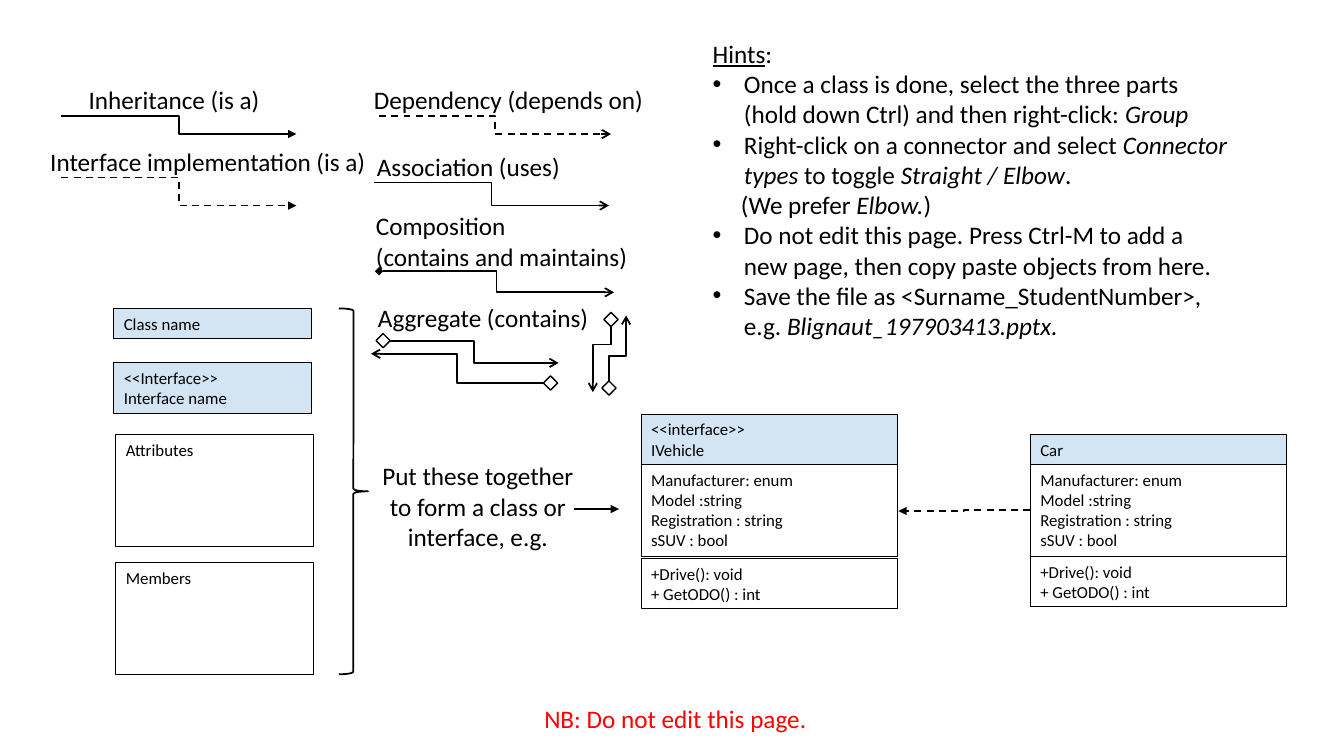
"""Build a slide with a legend of UML connectors, class boxes and an example."""
import pptx
import pptx.util
import pptx.dml.color
import pptx.enum.dml
import pptx.enum.shapes
import pptx.enum.text
import pptx.oxml
import pptx.oxml.ns

Inches = pptx.util.Inches
Pt = pptx.util.Pt
MSO_SHAPE = pptx.enum.shapes.MSO_SHAPE
MSO_CONNECTOR = pptx.enum.shapes.MSO_CONNECTOR
ALIGN = pptx.enum.text.PP_ALIGN
qn = pptx.oxml.ns.qn

COLORS = {"ink": "000000", "header": "BDD7EE", "body": "FFFFFF", "warning": "FF0000"}
FONT = "Calibri"
LABEL_SIZE, BOX_SIZE = 18, 12
FRAME_FORMAT = {"word_wrap": True, "vertical_anchor": pptx.enum.text.MSO_ANCHOR.TOP}
BOX_ALPHA = 66
LINE_WIDTH = 1.25
BOX_LINE, DIAMOND_LINE = 0.75, 1
DIAMOND_SIDE = 0.14

LABELS = [
    ((0.4, 1.4, 3.37, 0.4), ["Interface implementation (is a)"], "ink", ALIGN.LEFT),
    ((0.78, 0.79, 1.92, 0.4), ["Inheritance (is a)"], "ink", ALIGN.LEFT),
    ((3.63, 2.04, 2.72, 0.71), ["Composition", "(contains and maintains)"], "ink", ALIGN.LEFT),
    ((3.61, 0.79, 3.01, 0.4), ["Dependency (depends on)"], "ink", ALIGN.LEFT),
    ((3.68, 4.52, 2.12, 1.01),
     ["Put these together", "to form a class or", "interface, e.g."], "ink", ALIGN.CENTER),
    ((5.3, 6.93, 2.83, 0.4), ["NB: Do not edit this page."], "warning", ALIGN.LEFT),
    ((3.64, 1.45, 2.04, 0.4), ["Association (uses)"], "ink", ALIGN.LEFT),
    ((3.65, 2.95, 2.31, 0.4), ["Aggregate (contains)"], "ink", ALIGN.LEFT),
]

HINTS_AT = (6.97, 0.33, 5.31, 3.13)
HINT_INDENT, ASIDE_INDENT = 0.31, 0.28
PLAIN, ITALIC, UNDERLINE = {}, {"italic": True}, {"underline": True}
HINTS = [
    ("title", [("Hints", UNDERLINE), (":", PLAIN)]),
    ("bullet", [("Once a class is done, select the three parts (hold down Ctrl) "
                 "and then right-click: ", PLAIN), ("Group", ITALIC)]),
    ("bullet", [("Right-click on a connector and select ", PLAIN), ("Connector types ", ITALIC),
                ("to toggle ", PLAIN), ("Straight / Elbow", ITALIC), (".", PLAIN)]),
    ("aside", [("(We prefer ", PLAIN), ("Elbow.", ITALIC), (")", PLAIN)]),
    ("bullet", [("Do not edit this page. Press Ctrl-M to add a new page, "
                 "then copy paste objects from here.", PLAIN)]),
    ("bullet", [("Save the file as <Surname_StudentNumber>, e.g. ", PLAIN),
                ("Blignaut_197903413.pptx.", ITALIC)]),
]

PARTS = [
    ((1.13, 3.06, 1.96, 0.3), "header", ["Class name"]),
    ((1.13, 3.6, 1.96, 0.5), "header", ["<<Interface>>", "Interface name"]),
    ((1.15, 4.31, 1.96, 1.11), "body", ["Attributes"]),
    ((1.15, 5.58, 1.96, 1.11), "body", ["Members"]),
]
ATTRIBUTES = ["Manufacturer: enum", "Model :string", "Registration : string", "sSUV : bool"]
MEMBERS = ["+Drive(): void", "+ GetODO() : int"]
CLASS_WIDTH, ATTRIBUTES_TOP, ATTRIBUTES_HEIGHT, MEMBERS_HEIGHT = 2.54, 4.61, 0.91, 0.5
CLASSES = [
    (6.36, 0.5, 5.54, ["<<interface>>", "IVehicle"]),
    (10.22, 0.3, 5.52, ["Car"]),
]
BRACE_AT = (3.36, 3.06, 0.29, 3.63)
DIAMONDS = [(3.73, 3.31), (5.39, 3.73), (5.99, 3.1), (5.97, 3.78)]

ELBOWS = [
    ((0.61, 1.15), (2.94, 1.33), {"tail": "triangle"}),
    ((0.61, 1.76), (2.94, 2.04), {"tail": "triangle", "dashed": True}),
    ((3.76, 1.15), (6.06, 1.33), {"tail": "arrow", "dashed": True}),
    ((3.71, 1.81), (6.04, 2.04), {"tail": "arrow"}),
    ((3.76, 2.69), (6.09, 2.9), {"tail": "arrow", "head": "diamond"}),
    ((3.87, 3.38), (5.54, 3.6), {"tail": "arrow"}),
    ((5.39, 3.8), (3.68, 3.51), {"tail": "arrow"}),
    ((10.22, 5.06), (8.91, 5.07), {"tail": "triangle", "dashed": True}),
    ((6.06, 3.24), (5.88, 3.89), {"tail": "arrow", "upright": True, "bend": 27500}),
    ((6.04, 3.78), (6.21, 3.13), {"tail": "arrow", "upright": True, "bend": 38700}),
]
EXAMPLE_ARROW = ((5.69, 5.05), (6.14, 5.05))


def rgb(name):
    return pptx.dml.color.RGBColor.from_string(COLORS[name])


def add_element(parent, tag, **attributes):
    element = pptx.oxml.ns.nsdecls("a")
    child = pptx.oxml.parse_xml(f"<a:{tag} {element}/>")
    for name, value in attributes.items():
        child.set(name, str(value))
    parent.append(child)
    return child


def add_run(paragraph, text, size, color, style):
    run = paragraph.add_run()
    run.text = text
    run.font.color.rgb = rgb(color)
    for name, value in {"name": FONT, "size": Pt(size), **style}.items():
        setattr(run.font, name, value)


def write(shape, paragraphs, size, color="ink", alignment=ALIGN.LEFT):
    frame = shape.text_frame
    for name, value in FRAME_FORMAT.items():
        setattr(frame, name, value)
    written = []
    for index, runs in enumerate(paragraphs):
        paragraph = frame.add_paragraph() if index else frame.paragraphs[0]
        paragraph.alignment = alignment
        for text, style in runs:
            add_run(paragraph, text, size, color, style)
        written.append(paragraph)
    return written


def plain(lines):
    return [[(line, PLAIN)] for line in lines]


def add_outline(shapes, kind, at, width):
    shape = shapes.add_shape(kind, *map(Inches, at))
    shape.shadow.inherit = False
    shape.fill.background()
    shape.line.color.rgb = rgb("ink")
    shape.line.width = Pt(width)
    return shape


def add_box(shapes, at, fill, lines):
    box = add_outline(shapes, MSO_SHAPE.RECTANGLE, at, BOX_LINE)
    box.fill.solid()
    box.fill.fore_color.rgb = rgb(fill)
    color = box._element.spPr.find(qn("a:solidFill"))[0]
    add_element(color, "alpha", val=BOX_ALPHA * 1000)
    write(box, plain(lines), BOX_SIZE)


def add_class(shapes, left, header_height, members_top, names):
    group = shapes.add_group_shape()
    rows = [
        (ATTRIBUTES_TOP - header_height, header_height, "header", names),
        (ATTRIBUTES_TOP, ATTRIBUTES_HEIGHT, "body", ATTRIBUTES),
        (members_top, MEMBERS_HEIGHT, "body", MEMBERS),
    ]
    for top, height, fill, lines in rows:
        add_box(group.shapes, (left, top, CLASS_WIDTH, height), fill, lines)


def add_arrow(shapes, kind, start, end, tail, head=None, dashed=False, upright=False, bend=None):
    points = [start, end]
    if upright:
        middle_x, middle_y = ((a + b) / 2 for a, b in zip(start, end))
        points = [(middle_x + y - middle_y, middle_y - x + middle_x) for x, y in points]
    connector = shapes.add_connector(kind, *(Inches(value) for point in points for value in point))
    connector.line.color.rgb = rgb("ink")
    connector.line.width = Pt(LINE_WIDTH)
    if dashed:
        connector.line.dash_style = pptx.enum.dml.MSO_LINE.DASH
    properties = connector._element.spPr
    if upright:
        properties.find(qn("a:xfrm")).set("rot", "5400000")
    if bend:
        guides = properties.find(qn("a:prstGeom")).find(qn("a:avLst"))
        add_element(guides, "gd", name="adj1", fmla=f"val {bend}")
    outline = properties.find(qn("a:ln"))
    for tag, end_type in (("headEnd", head), ("tailEnd", tail)):
        if end_type:
            add_element(outline, tag, type=end_type)
    add_element(properties, "effectLst")


def add_hints(shapes):
    box = shapes.add_textbox(*map(Inches, HINTS_AT))
    paragraphs = write(box, [runs for _, runs in HINTS], LABEL_SIZE)
    for paragraph, (kind, _) in zip(paragraphs, HINTS):
        properties = paragraph._p.get_or_add_pPr()
        if kind == "bullet":
            properties.set("marL", str(Inches(HINT_INDENT)))
            properties.set("indent", str(-Inches(HINT_INDENT)))
            add_element(properties, "buFont", typeface="Arial")
            add_element(properties, "buChar", char="•")
        elif kind == "aside":
            properties.set("marL", str(Inches(ASIDE_INDENT)))


def main():
    presentation = pptx.Presentation()
    presentation.slide_width, presentation.slide_height = Inches(13.33), Inches(7.5)
    shapes = presentation.slides.add_slide(presentation.slide_layouts[6]).shapes
    for at, lines, color, alignment in LABELS:
        write(shapes.add_textbox(*map(Inches, at)), plain(lines), LABEL_SIZE, color, alignment)
    add_hints(shapes)
    for part in PARTS:
        add_box(shapes, *part)
    for class_box in CLASSES:
        add_class(shapes, *class_box)
    add_outline(shapes, MSO_SHAPE.RIGHT_BRACE, BRACE_AT, LINE_WIDTH)
    for corner in DIAMONDS:
        add_outline(shapes, MSO_SHAPE.DIAMOND, (*corner, DIAMOND_SIDE, DIAMOND_SIDE), DIAMOND_LINE)
    for start, end, style in ELBOWS:
        add_arrow(shapes, MSO_CONNECTOR.ELBOW, start, end, **style)
    add_arrow(shapes, MSO_CONNECTOR.STRAIGHT, *EXAMPLE_ARROW, tail="triangle")
    presentation.save("out.pptx")


if __name__ == "__main__":
    main()
